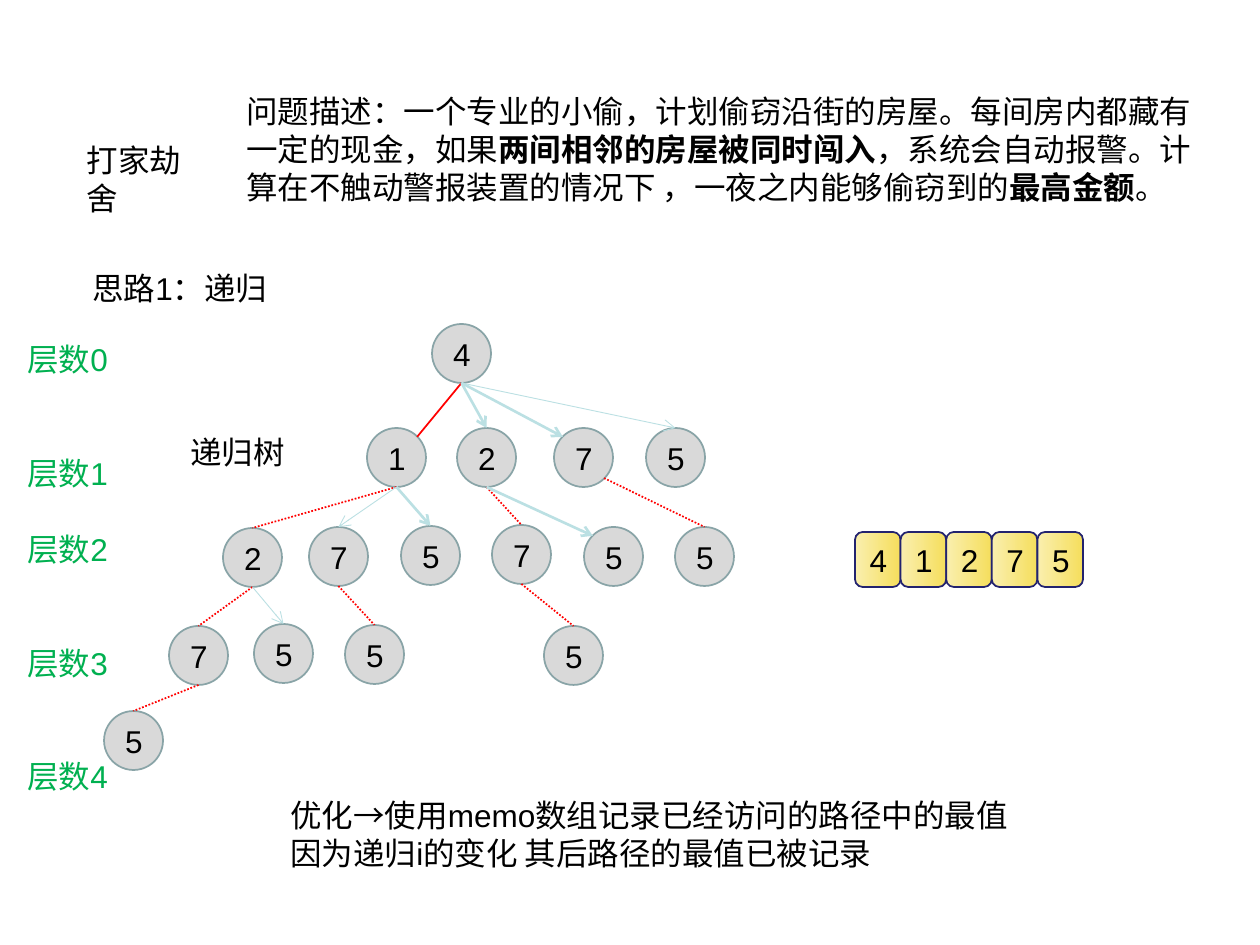
from dataclasses import dataclass

from lxml import etree
from pptx import Presentation
from pptx.dml.color import RGBColor
from pptx.enum.dml import MSO_LINE
from pptx.enum.shapes import MSO_CONNECTOR, MSO_SHAPE
from pptx.enum.text import MSO_ANCHOR, MSO_AUTO_SIZE, PP_ALIGN
from pptx.oxml.ns import qn
from pptx.util import Pt

ELLIPSE, ROUNDED = MSO_SHAPE.OVAL, MSO_SHAPE.ROUNDED_RECTANGLE
STRAIGHT, DOTTED = MSO_CONNECTOR.STRAIGHT, MSO_LINE.ROUND_DOT
TOP, MIDDLE = MSO_ANCHOR.TOP, MSO_ANCHOR.MIDDLE
LEFT, CENTER = PP_ALIGN.LEFT, PP_ALIGN.CENTER
NO_FIT, GROW = MSO_AUTO_SIZE.NONE, MSO_AUTO_SIZE.SHAPE_TO_FIT_TEXT

SCALE = 914400 / 126  # EMU in one px


@dataclass(frozen=True)
class Theme:
    font: str = "Arial"
    size: int = 18
    text: str = "000000"
    level: str = "00B050"
    node_fill: str = "D9D9D9"
    node_line: str = "89A4A7"
    chosen: str = "FF0000"
    branch: str = "BBE0E3"
    cell_start: str = "FAEFAE"
    cell_end: str = "F5DE5D"
    cell_line: str = "23236F"


THEME = Theme()

EDGE_STYLES = {
    "dotted": {"color": THEME.chosen, "width": 1, "dash": DOTTED, "arrow": False},
    "solid": {"color": THEME.chosen, "width": 1, "dash": None, "arrow": False},
    "thick": {"color": THEME.branch, "width": 1.5, "dash": None, "arrow": True},
    "thin": {"color": THEME.branch, "width": 0.5, "dash": None, "arrow": True},
}

# Points on a circle, as fractions of its box.
ANCHORS = {
    "top": (0.5, 0), "bottom": (0.5, 1), "top left": (0.15, 0.15),
    "top right": (0.85, 0.15), "bottom right": (0.85, 0.85),
}

# Each key is the path of values from the root, ending in the node's own value.
NODE_SIZE = 59
NODES = {
    "4": (328, 0),
    "41": (263, 104), "42": (353, 104), "47": (450, 104), "45": (542, 104),
    "412": (119, 204), "417": (205, 203), "415": (297, 202),
    "427": (388, 201), "425": (480, 203), "475": (571, 203),
    "4127": (65, 302), "4125": (150, 300), "4175": (241, 301), "4275": (440, 302),
    "41275": (0, 387),
}
EDGE_KINDS = {
    "41": "solid", "42": "thick", "47": "thick", "45": "thin",
    "417": "thin", "415": "thick", "425": "thick", "4125": "thin",
}
EDGE_STARTS = {"475": "bottom right"}
EDGE_ENDS = {"41": "top right", "47": "top left", "425": "top left"}


def px(*lengths):
    return [round(length * SCALE) for length in lengths]


def color(value):
    return RGBColor.from_string(value)


def set_values(target, values):
    for name, value in values.items():
        setattr(target, name, value)


def write(frame, paragraphs, frame_format, align=LEFT, ink=THEME.text):
    """Fill a frame; each paragraph is a list of (text, bold) spans."""
    set_values(frame, frame_format)
    for index, spans in enumerate(paragraphs):
        para = frame.add_paragraph() if index else frame.paragraphs[0]
        para.alignment = align
        for text, bold in spans:
            span = para.add_run()
            span.text = text
            set_values(span.font, {"name": THEME.font, "size": Pt(THEME.size), "bold": bold})
            span.font.color.rgb = color(ink)


def add_text(page, box, paragraphs, wrap=False, ink=THEME.text):
    frame = page.shapes.add_textbox(*px(*box)).text_frame
    write(frame, paragraphs, {"word_wrap": wrap, "auto_size": GROW}, ink=ink)
    return frame


def add_value(page, kind, box, value, line_color):
    """Add an outlined shape with one centred value."""
    shape = page.shapes.add_shape(kind, *px(*box))
    shape.shadow.inherit = False
    shape.line.color.rgb = color(line_color)
    shape.line.width = Pt(1)
    write(shape.text_frame, [[(value, False)]], {"vertical_anchor": MIDDLE}, CENTER)
    return shape


def add_title(page, box, text):
    title = page.shapes.title
    set_values(title, dict(zip(("left", "top", "width", "height"), px(*box))))
    title_format = {"word_wrap": False, "auto_size": NO_FIT, "vertical_anchor": TOP}
    write(title.text_frame, [[(text, False)]], title_format)


def add_levels(page, box, gaps):
    """List the tree levels, each after its gap in px."""
    labels = [[(f"层数{level}", False)] for level in range(len(gaps))]
    frame = add_text(page, box, labels, wrap=True, ink=THEME.level)
    for para, gap in zip(frame.paragraphs, gaps):
        para.space_before = px(gap)[0]


def add_edge(page, start, end, color, width, dash, arrow):
    edge = page.shapes.add_connector(STRAIGHT, *px(*start, *end))
    edge.line.color.rgb = RGBColor.from_string(color)
    edge.line.width = Pt(width)
    if dash:
        edge.line.dash_style = dash
    if arrow:
        etree.SubElement(edge.line._get_or_add_ln(), qn("a:tailEnd"), type="arrow")
    etree.SubElement(edge._element.spPr, qn("a:effectLst"))


def add_tree(page, box):
    left, top = box[:2]

    def anchor(path, name):
        return [origin + offset + NODE_SIZE * share for origin, offset, share
                in zip((left, top), NODES[path], ANCHORS[name])]

    for path, (x, y) in NODES.items():
        node_box = (left + x, top + y, NODE_SIZE, NODE_SIZE)
        node = add_value(page, ELLIPSE, node_box, path[-1], THEME.node_line)
        node.fill.solid()
        node.fill.fore_color.rgb = color(THEME.node_fill)
    for path in list(NODES)[1:]:
        start = anchor(path[:-1], EDGE_STARTS.get(path, "bottom"))
        end = anchor(path, EDGE_ENDS.get(path, "top"))
        add_edge(page, start, end, **EDGE_STYLES[EDGE_KINDS.get(path, "dotted")])


def add_array(page, box, values):
    left, top, width, height = box
    cell_width = width / len(values)
    for index, value in enumerate(values):
        cell_box = (left + index * cell_width, top, cell_width, height)
        cell = add_value(page, ROUNDED, cell_box, value, THEME.cell_line)
        cell.fill.gradient()
        cell.fill.gradient_angle = 0
        for stop, shade in zip(cell.fill.gradient_stops, (THEME.cell_start, THEME.cell_end)):
            stop.color.rgb = color(shade)


def main():
    deck = Presentation()
    deck.slide_width, deck.slide_height = px(1260, 945)
    page = deck.slides.add_slide(deck.slide_layouts[5])

    add_title(page, (74, 135, 151, 50), "打家劫舍")
    add_text(page, (234, 86, 970, 126), [
        [("问题描述：一个专业的小偷，计划偷窃沿街的房屋。每间房内都藏有", False)],
        [("一定的现金，如果", False), ("两间相邻的房屋被同时闯入", True),
         ("，系统会自动报警。计", False)],
        [("算在不触动警报装置的情况下 ，一夜之内能够偷窃到的", False),
         ("最高金额", True), ("。", False)],
    ])
    add_text(page, (80, 263, 215, 50), [[("思路1：递归", False)]])
    add_text(page, (278, 790, 752, 126), [
        [("优化→使用memo数组记录已经访问的路径中的最值", False)],
        [("因为递归i的变化 其后路径的最值已被记录", False)],
    ], wrap=True)
    add_text(page, (178, 427, 120, 50), [[("递归树", False)]])
    add_tree(page, (104, 324, 630, 446))
    add_array(page, (855, 532, 228, 55), "41275")
    add_levels(page, (15, 334, 420, 466), (0, 76, 38, 76, 76))

    deck.save("out.pptx")


if __name__ == "__main__":
    main()
